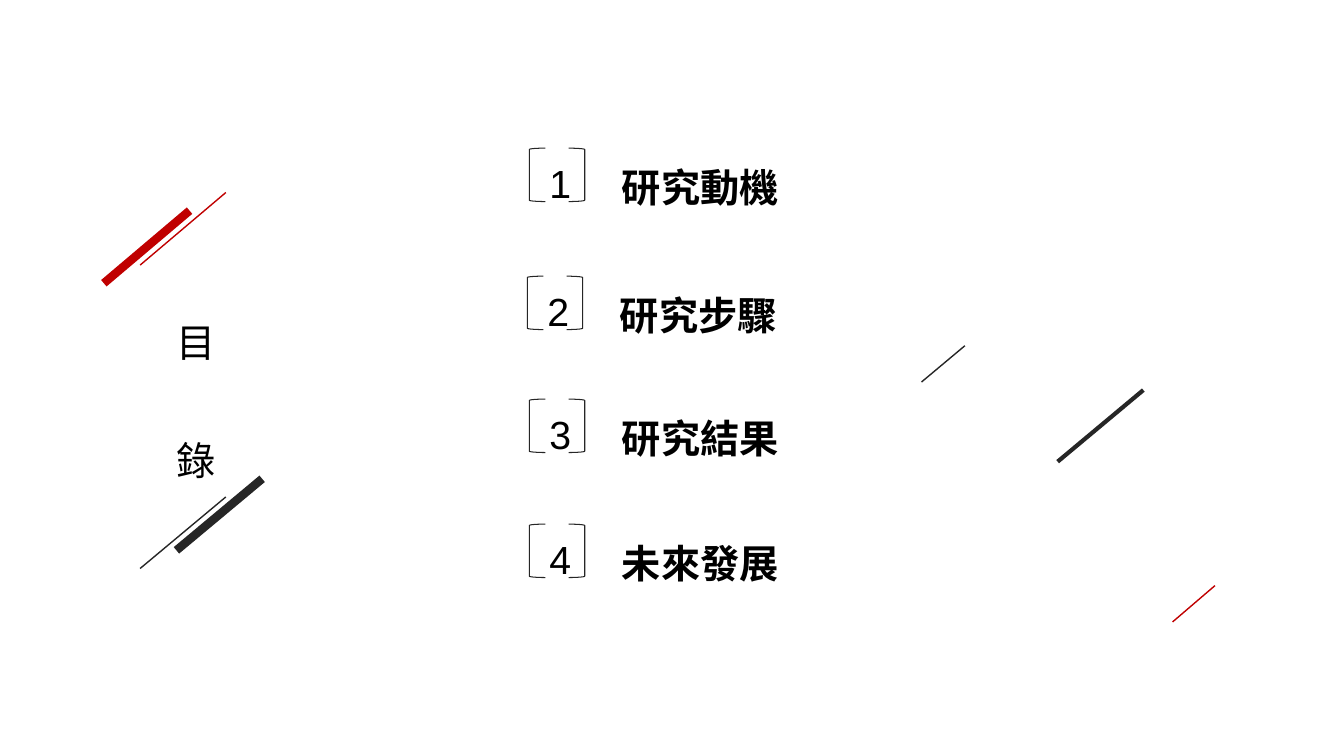
from pptx import Presentation
from pptx.dml.color import RGBColor
from pptx.enum.shapes import MSO_CONNECTOR, MSO_SHAPE
from pptx.enum.text import MSO_ANCHOR, MSO_AUTO_SIZE, PP_ALIGN
from pptx.oxml.ns import qn
from pptx.util import Inches, Pt

STRAIGHT = MSO_CONNECTOR.STRAIGHT
LEFT_BRACKET, RIGHT_BRACKET = MSO_SHAPE.LEFT_BRACKET, MSO_SHAPE.RIGHT_BRACKET
TOP = MSO_ANCHOR.TOP
FIT_SHAPE = MSO_AUTO_SIZE.SHAPE_TO_FIT_TEXT
LEFT = PP_ALIGN.LEFT
RED, DARK, BLACK = "C00000", "262626", "000000"


def rgb(value):
    return RGBColor.from_string(value)


class Deck:
    """Holds the style and the current slide."""
    font, size = "Arial", 28

    def __init__(self):
        self.prs = Presentation()
        self.prs.slide_width, self.prs.slide_height = Inches(13.33), Inches(7.5)
        self.s = self.prs.slides.add_slide(self.prs.slide_layouts[5])

    def set_text(self, sp, lines, bold=False, spacing=None):
        tf = sp.text_frame
        tf.text = "\n".join(lines)
        tf.word_wrap = False
        tf.auto_size = FIT_SHAPE
        tf.vertical_anchor = TOP
        for p in tf.paragraphs:
            p.alignment = LEFT
            p.line_spacing = spacing
            p.font.name, p.font.size, p.font.bold = self.font, Pt(self.size), bold
            p.font.color.rgb = rgb(BLACK)

    def title(self, lines, x, y, w, h):
        sp = self.s.shapes.title
        sp.left, sp.top, sp.width, sp.height = map(Inches, (x, y, w, h))
        self.set_text(sp, lines, spacing=2.5)

    def text(self, shapes, text, x, y, w, bold=False):
        sp = shapes.add_textbox(Inches(x), Inches(y), Inches(w), Inches(0.57))
        self.set_text(sp, [text], bold)

    def slash(self, shapes, x1, y1, x2, y2, color, width):
        line = shapes.add_connector(STRAIGHT, *map(Inches, (x1, y1, x2, y2)))
        line.line.color.rgb = rgb(color)
        line.line.width = Pt(width)
        sp_pr = line._element.spPr
        sp_pr.append(sp_pr.makeelement(qn("a:effectLst"), {}))

    def bracket(self, shapes, kind, x, y):
        sp = shapes.add_shape(kind, *map(Inches, (x, y, 0.16, 0.53)))
        sp.shadow.inherit = False
        sp.fill.background()
        sp.line.color.rgb = rgb(DARK)
        sp.line.width = Pt(0.75)

    def group(self):
        return self.s.shapes.add_group_shape().shapes

    def item(self, number, label, x, y):
        shapes = self.group()
        self.text(shapes, str(number), x + 0.1, y + 0.06, 0.42)
        self.bracket(shapes, LEFT_BRACKET, x, y)
        self.bracket(shapes, RIGHT_BRACKET, x + 0.39, y)
        self.text(shapes, label, x + 0.82, y + 0.1, 1.77, bold=True)


def main():
    deck = Deck()
    deck.title(["目", "錄"], 1.65, 2.41, 0.59, 2.26)

    red_pair = deck.group()
    deck.slash(red_pair, 1.88, 2.09, 1.03, 2.81, RED, 6)
    deck.slash(red_pair, 2.24, 1.91, 1.39, 2.63, RED, 1)
    dark_pair = deck.group()
    deck.slash(dark_pair, 1.75, 5.46, 2.6, 4.75, DARK, 6)
    deck.slash(dark_pair, 1.39, 5.64, 2.24, 4.93, DARK, 1)

    shapes = deck.s.shapes
    deck.slash(shapes, 9.57, 3.43, 9.14, 3.79, DARK, 1)
    deck.slash(shapes, 12.05, 5.81, 11.63, 6.17, RED, 1)
    deck.slash(shapes, 11.34, 3.87, 10.49, 4.58, DARK, 3)

    items = [("研究動機", 5.25, 1.47), ("研究步驟", 5.23, 2.74),
             ("研究結果", 5.25, 3.96), ("未來發展", 5.25, 5.2)]
    for number, (label, x, y) in enumerate(items, 1):
        deck.item(number, label, x, y)

    deck.prs.save("out.pptx")


if __name__ == "__main__":
    main()
